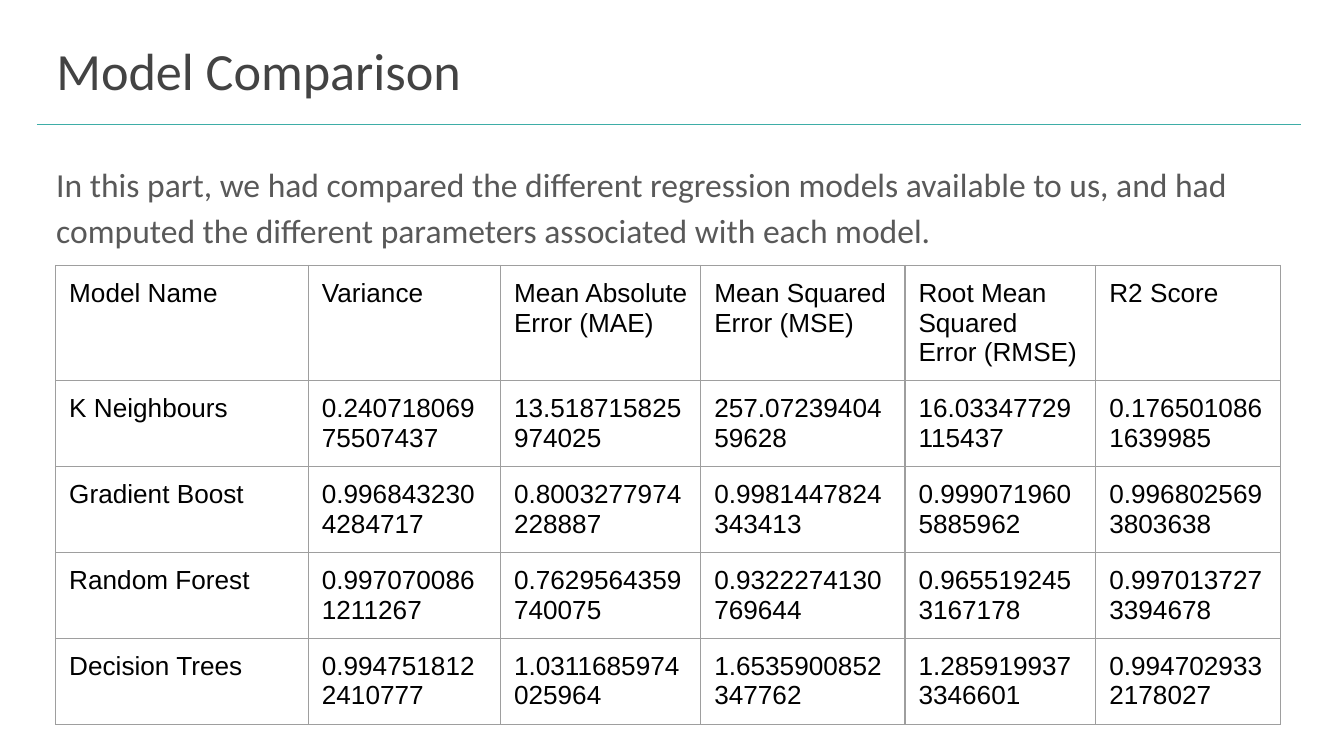
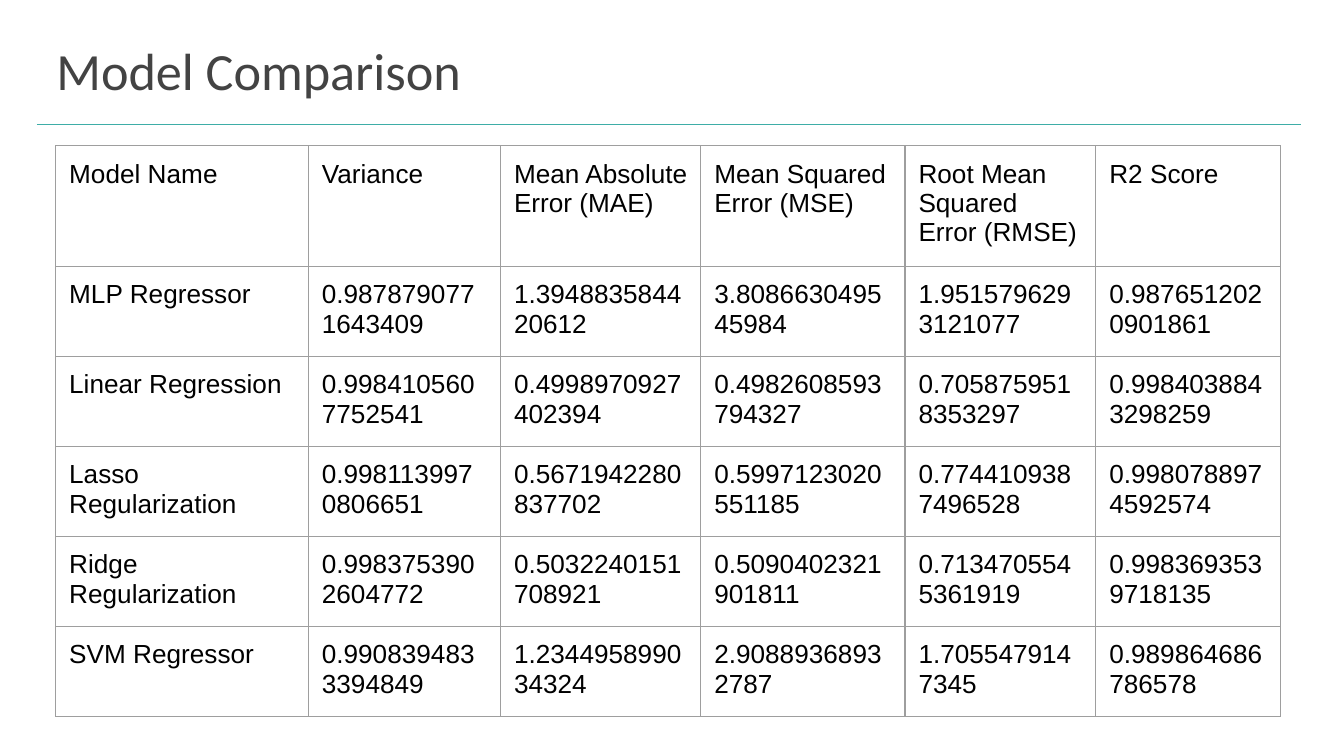
from dataclasses import dataclass

from lxml.etree import SubElement
from pptx import Presentation
from pptx.dml.color import RGBColor
from pptx.enum.shapes import MSO_CONNECTOR as Connector
from pptx.enum.text import MSO_ANCHOR as Anchor, MSO_AUTO_SIZE as AutoSize, PP_ALIGN as Align
from pptx.oxml.ns import qn
from pptx.slide import Slide
from pptx.table import _Cell as Cell
from pptx.text.text import TextFrame
from pptx.util import Emu, Pt

PX = 4572  # 200 px to the inch
SLIDE_WIDTH, SLIDE_HEIGHT = 2000, 1125
INSET = 20

TEAL = RGBColor(0x3E, 0xAD, 0xA7)
DARK_GREY = RGBColor(0x43, 0x43, 0x43)
MID_GREY = RGBColor(0x59, 0x59, 0x59)
BORDER_GREY = RGBColor(0x9E, 0x9E, 0x9E)
BLACK = RGBColor(0, 0, 0)
LINE_WIDTH = Pt(0.75)

TITLE = "Model Comparison"
TEXT_LEFT, TEXT_WIDTH = 64, 1864
RULE_LEFT, RULE_RIGHT, RULE_TOP = 55, 1936, 185
TABLE_LEFT = 83
COLUMN_WIDTHS = (376, 286, 298, 304, 284, 275)
HEADER = (
    "Model Name",
    "Variance",
    "Mean Absolute Error (MAE)",
    "Mean Squared Error (MSE)",
    "Root Mean Squared Error (RMSE)",
    "R2 Score",
)


@dataclass(frozen=True)
class TextStyle:
    font: str
    size: int
    color: RGBColor
    line_spacing: float = 1.0


@dataclass(frozen=True)
class Comparison:
    """One slide: its table and an optional introduction above it."""

    top: int
    header_height: int
    row_height: int
    rows: tuple[tuple[str, ...], ...]
    intro: str = ""


TITLE_STYLE = TextStyle("Calibri", 28, DARK_GREY)
INTRO_STYLE = TextStyle("Calibri", 18, MID_GREY, 1.15)
CELL_STYLE = TextStyle("Arial", 14, BLACK)

COMPARISONS = (
    Comparison(
        top=395,
        header_height=162,
        row_height=128,
        intro="In this part, we had compared the different regression models available to us, "
        "and had computed the different parameters associated with each model.",
        rows=(
            ("K Neighbours", "0.24071806975507437", "13.518715825974025",
             "257.0723940459628", "16.03347729115437", "0.1765010861639985"),
            ("Gradient Boost", "0.9968432304284717", "0.8003277974228887",
             "0.9981447824343413", "0.9990719605885962", "0.9968025693803638"),
            ("Random Forest", "0.9970700861211267", "0.7629564359740075",
             "0.9322274130769644", "0.9655192453167178", "0.9970137273394678"),
            ("Decision Trees", "0.9947518122410777", "1.0311685974025964",
             "1.6535900852347762", "1.2859199373346601", "0.9947029332178027"),
        ),
    ),
    Comparison(
        top=217,
        header_height=180,
        row_height=134,
        rows=(
            ("MLP Regressor", "0.9878790771643409", "1.394883584420612",
             "3.808663049545984", "1.9515796293121077", "0.9876512020901861"),
            ("Linear Regression", "0.9984105607752541", "0.4998970927402394",
             "0.4982608593794327", "0.7058759518353297", "0.9984038843298259"),
            ("Lasso Regularization", "0.9981139970806651", "0.5671942280837702",
             "0.5997123020551185", "0.7744109387496528", "0.9980788974592574"),
            ("Ridge Regularization", "0.9983753902604772", "0.5032240151708921",
             "0.5090402321901811", "0.7134705545361919", "0.9983693539718135"),
            ("SVM Regressor", "0.9908394833394849", "1.234495899034324",
             "2.90889368932787", "1.7055479147345", "0.989864686786578"),
        ),
    ),
)


def px(length: int) -> Emu:
    return Emu(length * PX)


def write(frame: TextFrame, text: str, style: TextStyle) -> None:
    frame.text = text
    for paragraph in frame.paragraphs:
        paragraph.alignment = Align.LEFT
        paragraph.line_spacing = style.line_spacing
        for span in paragraph.runs:
            span.font.name = style.font
            span.font.size = Pt(style.size)
            span.font.color.rgb = style.color


def set_up_frame(frame: TextFrame) -> None:
    """Wrap from the top, with equal insets and no resizing."""
    frame.word_wrap = True
    frame.auto_size = AutoSize.NONE
    frame.vertical_anchor = Anchor.TOP
    frame.margin_left = frame.margin_right = px(INSET)
    frame.margin_top = frame.margin_bottom = px(INSET)


def add_title(page: Slide) -> None:
    title = page.shapes.title
    title.left, title.top = px(TEXT_LEFT), px(37)
    title.width, title.height = px(TEXT_WIDTH), px(126)
    set_up_frame(title.text_frame)
    write(title.text_frame, TITLE, TITLE_STYLE)


def add_title_rule(page: Slide) -> None:
    rule = page.shapes.add_connector(
        Connector.STRAIGHT, px(RULE_LEFT), px(RULE_TOP), px(RULE_RIGHT), px(RULE_TOP)
    )
    rule.line.color.rgb = TEAL
    rule.line.width = LINE_WIDTH
    SubElement(rule._element.spPr, qn("a:effectLst"))


def add_intro(page: Slide, text: str) -> None:
    box = page.shapes.add_textbox(px(TEXT_LEFT), px(215), px(TEXT_WIDTH), px(748))
    set_up_frame(box.text_frame)
    write(box.text_frame, text, INTRO_STYLE)


def add_borders(cell: Cell) -> None:
    properties = cell._tc.get_or_add_tcPr()
    for side in ("lnL", "lnR", "lnT", "lnB"):
        border = SubElement(properties, qn(f"a:{side}"), w=str(int(LINE_WIDTH)))
        fill = SubElement(border, qn("a:solidFill"))
        SubElement(fill, qn("a:srgbClr"), val=str(BORDER_GREY))


def format_cell(cell: Cell, text: str) -> None:
    cell.margin_left = cell.margin_right = px(INSET)
    cell.margin_top = cell.margin_bottom = px(INSET)
    cell.vertical_anchor = Anchor.TOP
    add_borders(cell)
    cell.fill.background()
    write(cell.text_frame, text, CELL_STYLE)


def add_score_table(page: Slide, comparison: Comparison) -> None:
    rows = (HEADER, *comparison.rows)
    heights = [comparison.header_height] + [comparison.row_height] * len(comparison.rows)
    table = page.shapes.add_table(
        len(rows), len(HEADER), px(TABLE_LEFT), px(comparison.top),
        px(sum(COLUMN_WIDTHS)), px(sum(heights)),
    ).table
    table.first_row = table.horz_banding = False
    for column, width in zip(table.columns, COLUMN_WIDTHS):
        column.width = px(width)
    for row, height, texts in zip(table.rows, heights, rows):
        row.height = px(height)
        for cell, text in zip(row.cells, texts):
            format_cell(cell, text)


def main() -> None:
    deck = Presentation()
    deck.slide_width, deck.slide_height = px(SLIDE_WIDTH), px(SLIDE_HEIGHT)
    title_only = deck.slide_layouts.get_by_name("Title Only")
    for comparison in COMPARISONS:
        page = deck.slides.add_slide(title_only)
        add_title_rule(page)
        add_title(page)
        if comparison.intro:
            add_intro(page, comparison.intro)
        add_score_table(page, comparison)
    deck.save("out.pptx")


if __name__ == "__main__":
    main()
